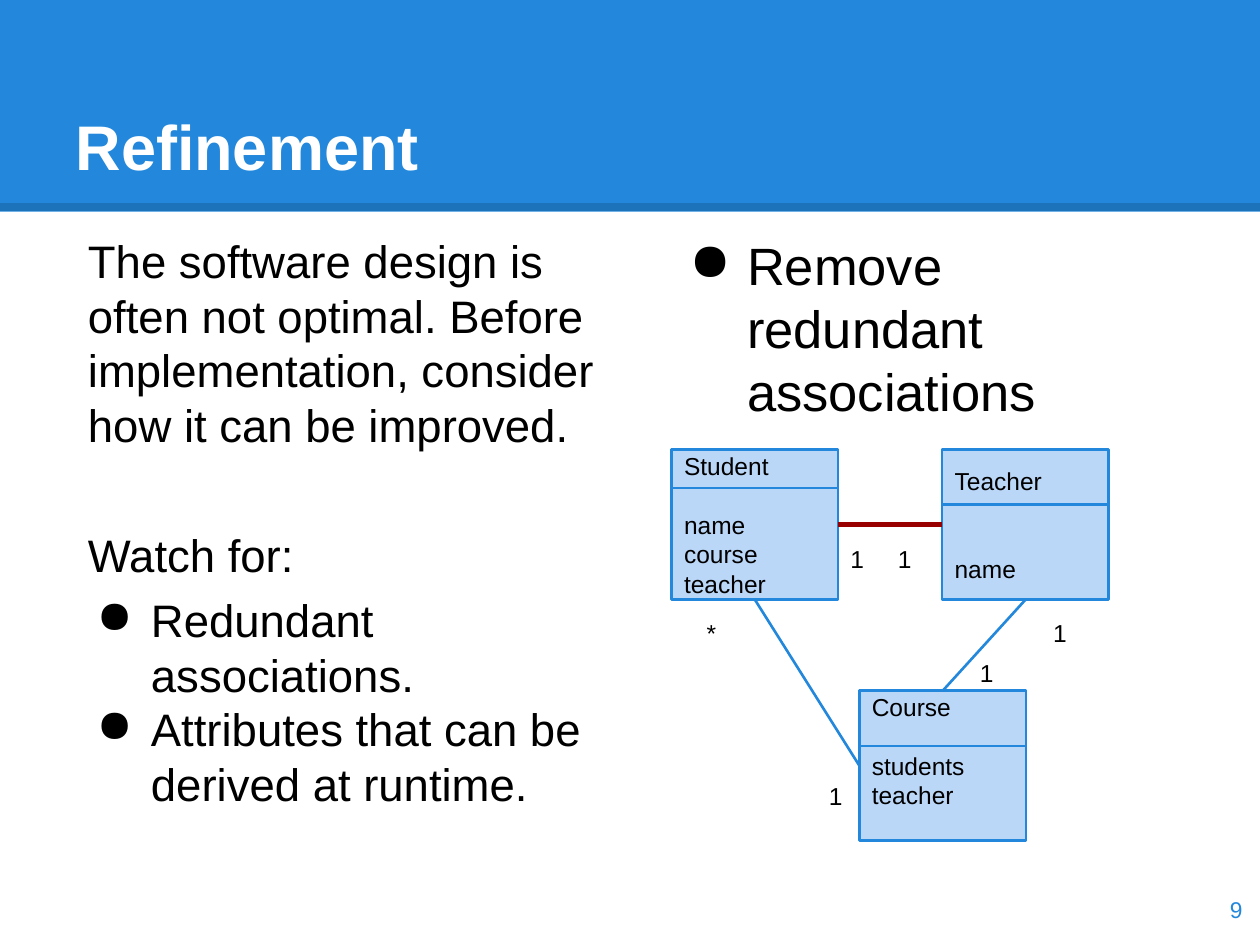
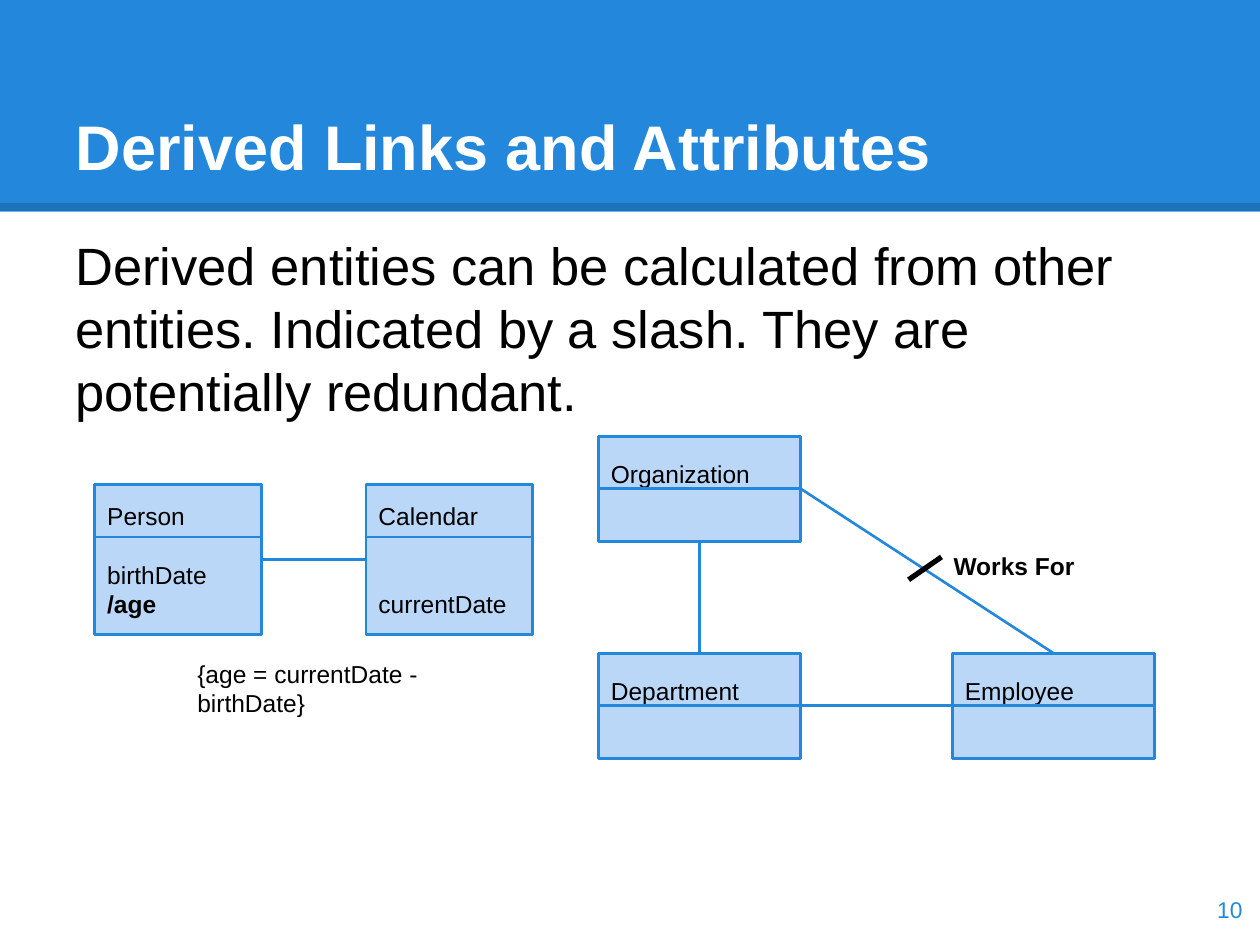
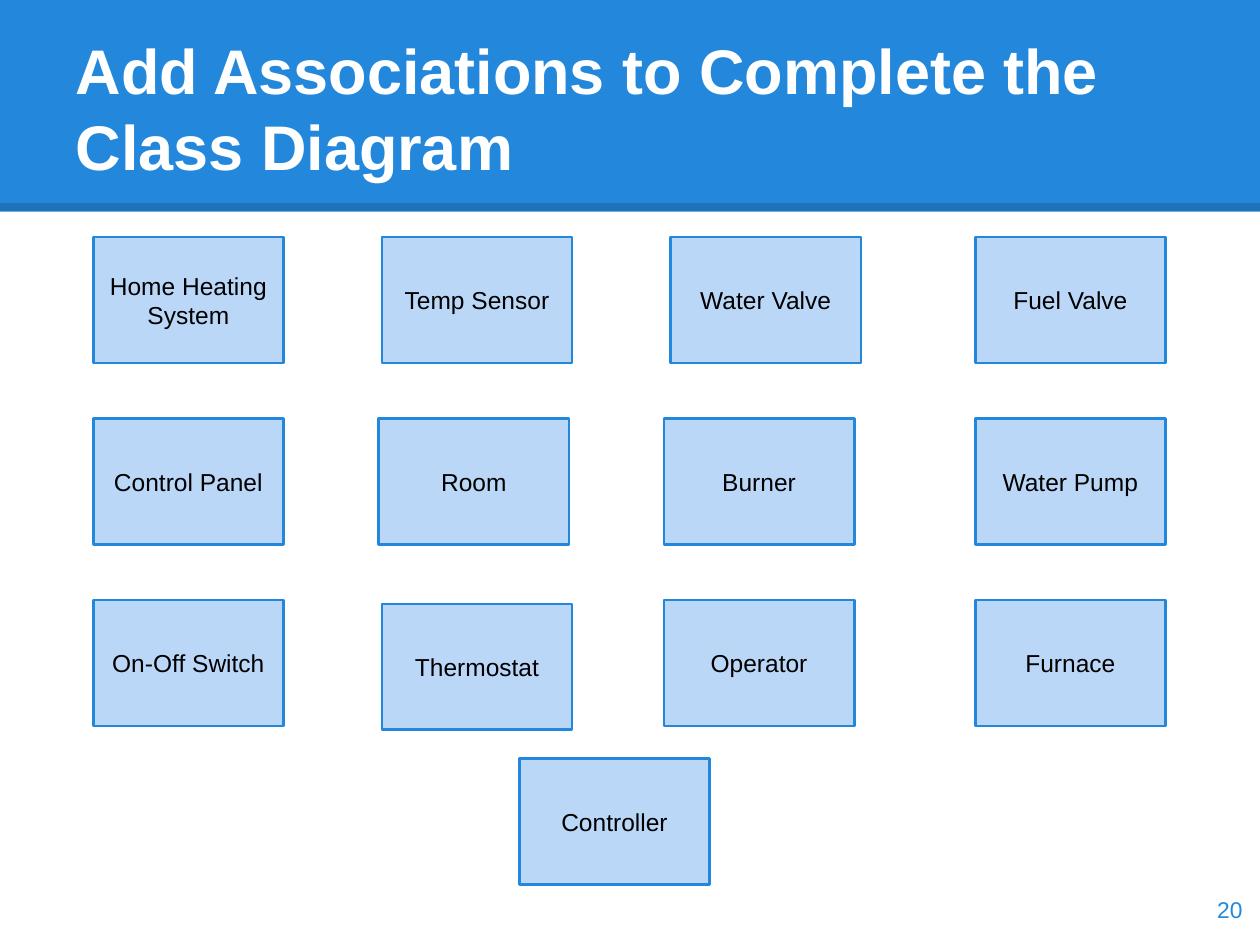
from dataclasses import dataclass

from lxml import etree
from pptx import Presentation
from pptx.dml.color import RGBColor
from pptx.enum.shapes import MSO_CONNECTOR, MSO_SHAPE
from pptx.enum.text import MSO_ANCHOR, MSO_AUTO_SIZE, PP_ALIGN
from pptx.oxml.ns import qn
from pptx.util import Pt

STRAIGHT = MSO_CONNECTOR.STRAIGHT
RECTANGLE = MSO_SHAPE.RECTANGLE
TOP, MIDDLE, BOTTOM = MSO_ANCHOR.TOP, MSO_ANCHOR.MIDDLE, MSO_ANCHOR.BOTTOM
ALIGN_LEFT, ALIGN_CENTER, ALIGN_RIGHT = PP_ALIGN.LEFT, PP_ALIGN.CENTER, PP_ALIGN.RIGHT
NO_AUTOFIT = MSO_AUTO_SIZE.NONE
SITE_TOP, SITE_LEFT, SITE_BOTTOM, SITE_RIGHT = range(4)


@dataclass(frozen=True)
class Theme:
    """Colours, type sizes and measures shared by all slides."""
    font: str = "Arial"
    blue: RGBColor = RGBColor(0x23, 0x88, 0xDB)
    pale: RGBColor = RGBColor(0xBB, 0xD7, 0xF8)
    red: RGBColor = RGBColor(0x98, 0x00, 0x00)
    black: RGBColor = RGBColor(0, 0, 0)
    white: RGBColor = RGBColor(255, 255, 255)
    title: float = 36
    body: float = 30
    small_body: float = 26
    label: float = 14
    number: float = 13
    inset: float = 7.2
    label_line: float = 16.8
    body_line: float = 31.2
    paragraph_gap: float = 6
    thin: float = 1.5
    thick: float = 3


THEME = Theme()
WIDTH, HEIGHT = 720, 540
CLASS_SIZE = (95.2, 85.7)
UNIT_SIZE = (115.6, 60)
CONCEPT_SIZE = (108.8, 72)
CONCEPT_LEFTS = (53.3, 218.2, 379.4, 557.3)
CONCEPT_PITCH = 103.7
CONCEPT_ROWS = (
    ("Home Heating System", "Temp Sensor", "Water Valve", "Fuel Valve"),
    ("Control Panel", "Room", "Burner", "Water Pump"),
    ("On-Off Switch", "Thermostat", "Operator", "Furnace"),
)
CONCEPT_SHIFTS = {"Water Valve": (3.8, 0), "Room": (-1.8, 0), "Thermostat": (0, 2.2)}


def format_paragraph(paragraph, size, color=THEME.black, bold=False, align=ALIGN_LEFT):
    """Align a paragraph and style its runs."""
    paragraph.alignment = align
    for run in paragraph.runs:
        run.font.name = THEME.font
        run.font.size = Pt(size)
        run.font.bold = bold
        run.font.color.rgb = color


def prepare_frame(text_frame, anchor=TOP):
    """Give a text frame the common insets and wrapping."""
    text_frame.auto_size = NO_AUTOFIT
    text_frame.word_wrap = True
    text_frame.vertical_anchor = anchor
    text_frame.margin_left = text_frame.margin_right = Pt(THEME.inset)
    text_frame.margin_top = text_frame.margin_bottom = Pt(THEME.inset)


def add_text(slide, box, text, size=THEME.label, color=THEME.black, bold=False,
             align=ALIGN_LEFT, anchor=TOP):
    """Add a text box and return its text frame."""
    text_frame = slide.shapes.add_textbox(*map(Pt, box)).text_frame
    prepare_frame(text_frame, anchor)
    text_frame.text = text
    for paragraph in text_frame.paragraphs:
        format_paragraph(paragraph, size, color, bold, align)
    return text_frame


def add_bullet(paragraph, indent):
    """Give a paragraph a round black bullet with a hanging indent."""
    properties = paragraph._p.get_or_add_pPr()
    properties.set("marL", str(Pt(36)))
    properties.set("indent", str(-Pt(indent)))
    color = etree.SubElement(properties, qn("a:buClr"))
    etree.SubElement(color, qn("a:srgbClr"), val=str(THEME.black))
    etree.SubElement(properties, qn("a:buChar"), char="●")


def add_line(slide, start=(0, 0), end=(0, 0), color=THEME.blue, width=THEME.thin):
    """Add a straight line without a shadow."""
    line = slide.shapes.add_connector(STRAIGHT, *map(Pt, (*start, *end)))
    line.line.color.rgb = color
    line.line.width = Pt(width)
    etree.SubElement(line.element.spPr, qn("a:effectLst"))
    return line


def add_link(slide, source, source_site, target, target_site, **style):
    """Connect the sites of two shapes."""
    link = add_line(slide, **style)
    link.begin_connect(source, source_site)
    link.end_connect(target, target_site)


def add_rectangle(slide, box, fill=THEME.pale, outline=THEME.blue):
    """Add a flat rectangle, outlined unless outline is None."""
    shape = slide.shapes.add_shape(RECTANGLE, *map(Pt, box))
    shape.shadow.inherit = False
    shape.fill.solid()
    shape.fill.fore_color.rgb = fill
    if outline is None:
        shape.line.fill.background()
    else:
        shape.line.color.rgb = outline
        shape.line.width = Pt(THEME.thin)
    prepare_frame(shape.text_frame, MIDDLE)
    return shape


def add_class(slide, box, divider, name, attributes=(), gap=1, lines=4):
    """Add a class with its divider, bold derived attributes and a centred block of lines."""
    left, top, width, height = box
    shape = add_rectangle(slide, box)
    text_frame = shape.text_frame
    text_frame.vertical_anchor = TOP
    text_frame.margin_top = Pt(round((height - lines * THEME.label_line) / 2, 2))
    text_frame.margin_bottom = 0
    text_frame.text = "\n".join((name, *attributes))
    for index, paragraph in enumerate(text_frame.paragraphs):
        format_paragraph(paragraph, THEME.label, bold=paragraph.text.startswith("/"))
        if index == 1:
            paragraph.space_before = Pt(gap * THEME.label_line)
    add_line(slide, (left, top + divider), (left + width, top + divider))
    return shape


def move_band_to_layout(slide, layout):
    """Build the title band and place it behind everything on the layout."""
    band = add_rectangle(slide, (0, 0, WIDTH, 121), THEME.blue, None)
    edge = add_line(slide, (0, 118.3), (WIDTH, 118.3), THEME.black, 4.5)
    color = edge.line.fill._xPr.find(".//" + qn("a:srgbClr"))
    etree.SubElement(color, qn("a:alpha"), val="15000")
    for index, shape in enumerate((band, edge), start=2):
        layout.shapes.element.insert(index, shape.element)


def start_slide(presentation, layout, title, number):
    """Add a slide with its title and page number."""
    slide = presentation.slides.add_slide(layout)
    shape = slide.shapes.title
    shape.left, shape.top, shape.width, shape.height = map(Pt, (36, 21.6, 648, 90))
    prepare_frame(shape.text_frame, BOTTOM)
    shape.text_frame.text = title
    format_paragraph(shape.text_frame.paragraphs[0], THEME.title, THEME.white, True)
    add_text(slide, (673.9, 499, 43.2, 41), number, THEME.number, THEME.blue,
             align=ALIGN_RIGHT, anchor=MIDDLE)
    return slide


def draw_advice(slide, box):
    """Write the introduction and the points to watch for."""
    text_frame = add_text(slide, box, "\n".join((
        "The software design is often not optimal. "
        "Before implementation, consider how it can be improved.",
        "Watch for:",
        "Redundant associations.",
        "Attributes that can be derived at runtime.",
    )), THEME.small_body)
    heading, *points = text_frame.paragraphs[1:]
    heading.space_before = Pt(THEME.body_line + 2 * THEME.paragraph_gap)
    points[0].space_before = Pt(THEME.paragraph_gap)
    for point in points:
        add_bullet(point, 31)


def draw_school(slide, left, top):
    """Draw the student, teacher and course classes with their multiplicities."""
    student = add_class(slide, (left, top, *CLASS_SIZE), 21.8, "Student",
                        ("name", "course", "teacher"), lines=5)
    teacher = add_class(slide, (left + 154.6, top, *CLASS_SIZE), 31.2, "Teacher",
                        ("name",), gap=2)
    course = add_class(slide, (left + 107.3, top + 137.7, *CLASS_SIZE), 31.7, "Course",
                       ("students", "teacher"), lines=5)
    add_link(slide, student, SITE_RIGHT, teacher, SITE_LEFT,
             color=THEME.red, width=THEME.thick)
    add_link(slide, course, SITE_LEFT, student, SITE_BOTTOM)
    add_link(slide, course, SITE_TOP, teacher, SITE_BOTTOM)
    for text, across, down, width in (
        ("1", 82.8, 183, 24.5), ("*", 13, 90, 24.5), ("1", 95, 47.6, 24.5),
        ("1", 122.2, 47.6, 24.5), ("1", 211, 90, 31.7), ("1", 169, 113, 18.7),
    ):
        add_text(slide, (left + across, top + down, width, 12.2), text)


def draw_age(slide, left, top):
    """Draw the derived age attribute and its rule."""
    person = add_class(slide, (left, top, *CLASS_SIZE), 29.8, "Person", ("birthDate", "/age"))
    calendar = add_class(slide, (left + 155, top, *CLASS_SIZE), 29.8, "Calendar",
                         ("currentDate",), gap=2)
    add_link(slide, person, SITE_RIGHT, calendar, SITE_LEFT)
    add_text(slide, (left + 51.5, top + 92.4, 148.3, 47.5), "{age = currentDate - birthDate}")


def draw_employment(slide, left, top):
    """Draw the derived link between employee and organization."""
    organization, department, employee = (
        add_class(slide, (left + across, top + down, *UNIT_SIZE), 30, name, lines=2)
        for name, across, down in (
            ("Organization", 0, 0), ("Department", 0, 124), ("Employee", 202.3, 124))
    )
    add_link(slide, department, SITE_TOP, organization, SITE_BOTTOM)
    add_link(slide, department, SITE_RIGHT, employee, SITE_LEFT)
    add_link(slide, employee, SITE_TOP, organization, SITE_RIGHT)
    add_text(slide, (left + 195.8, top + 58.2, 126, 21.6), "Works For", bold=True)
    add_line(slide, (left + 177.2, top + 82), (left + 196, top + 69),
             THEME.black, THEME.thick)


def draw_concept(slide, left, top, name):
    """Draw one class without attributes."""
    shape = add_rectangle(slide, (left, top, *CONCEPT_SIZE))
    shape.text_frame.text = name
    format_paragraph(shape.text_frame.paragraphs[0], THEME.label, align=ALIGN_CENTER)


def draw_concepts(slide, top):
    """Draw the grid of heating classes and the controller below it."""
    for row, names in enumerate(CONCEPT_ROWS):
        for left, name in zip(CONCEPT_LEFTS, names):
            across, down = CONCEPT_SHIFTS.get(name, (0, 0))
            draw_concept(slide, left + across, top + row * CONCEPT_PITCH + down, name)
    draw_concept(slide, 296.8, top + 298, "Controller")


def main():
    """Build and save the presentation."""
    presentation = Presentation()
    presentation.slide_width, presentation.slide_height = Pt(WIDTH), Pt(HEIGHT)
    layout = presentation.slide_layouts.get_by_name("Title Only")

    refinement = start_slide(presentation, layout, "Refinement", "9")
    move_band_to_layout(refinement, layout)
    draw_advice(refinement, (43.2, 126, 316.8, 98.6))
    remove = add_text(refinement, (383.8, 126, 300.2, 98.6),
                      "Remove redundant associations", THEME.body)
    add_bullet(remove.paragraphs[0], 33)
    draw_school(refinement, 383.8, 257)

    derived = start_slide(presentation, layout, "Derived Links and Attributes", "10")
    add_text(derived, (36, 126, 648, 82.8),
             "Derived entities can be calculated from other entities. "
             "Indicated by a slash. They are potentially redundant.", THEME.body)
    draw_age(derived, 54.2, 277)
    draw_employment(derived, 342, 249.3)

    exercise = start_slide(presentation, layout,
                           "Add Associations to Complete the Class Diagram", "20")
    draw_concepts(exercise, 135.5)
    presentation.save("out.pptx")


if __name__ == "__main__":
    main()
